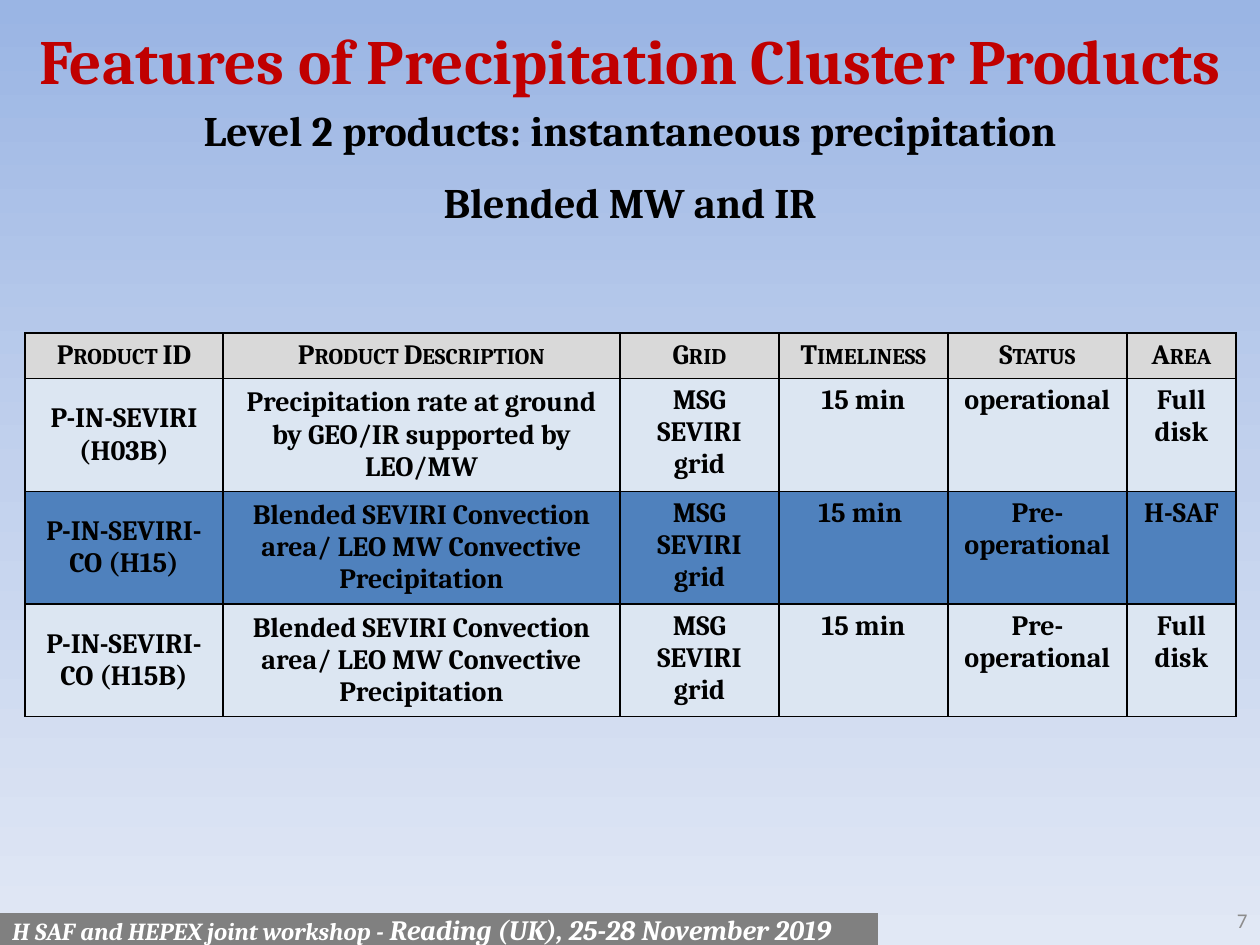
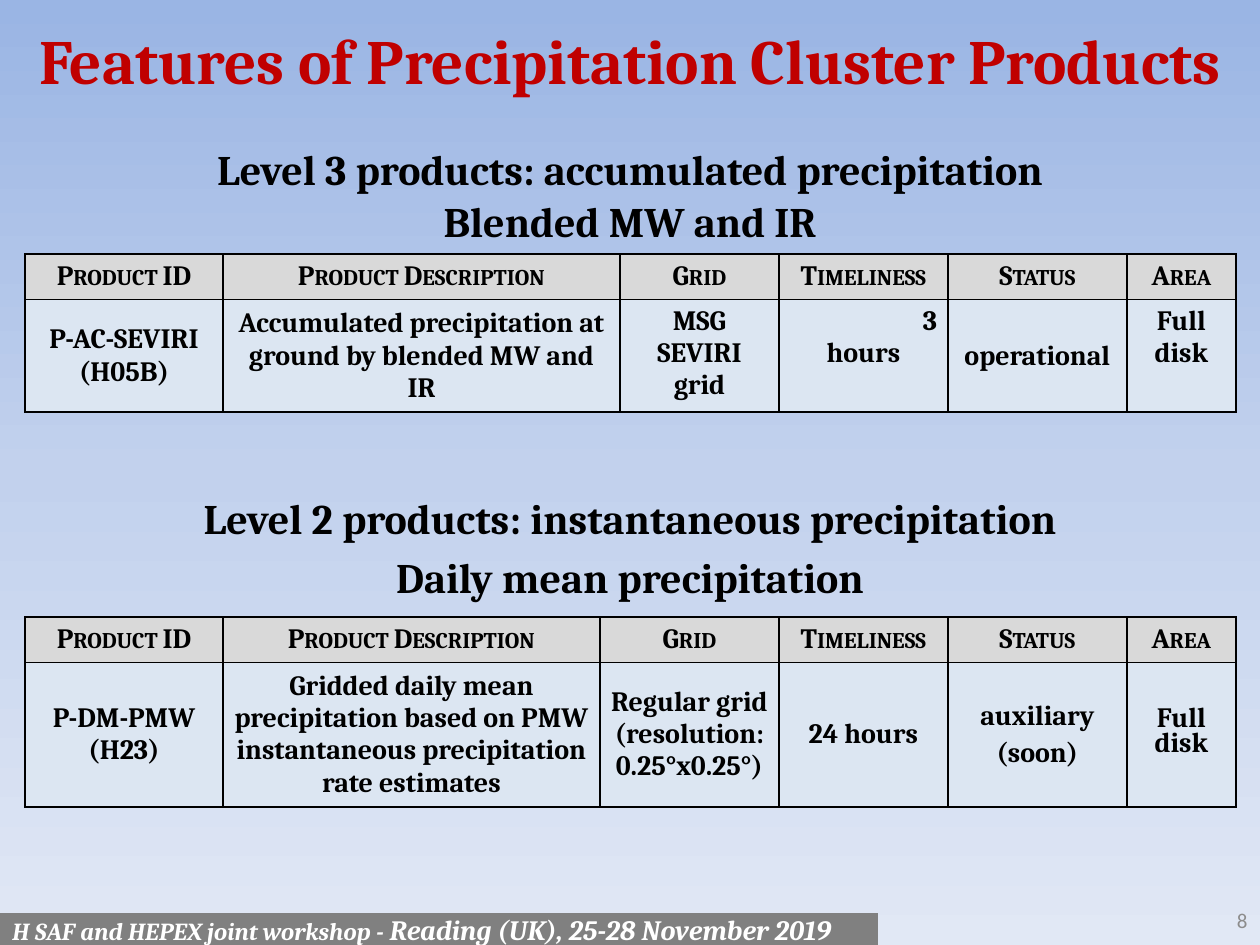
from copy import deepcopy

from lxml.etree import SubElement
from pptx import Presentation
from pptx.dml.color import RGBColor
from pptx.enum.shapes import MSO_SHAPE as Shape
from pptx.enum.text import MSO_ANCHOR as Anchor, PP_ALIGN as Align
from pptx.oxml import parse_xml
from pptx.oxml.ns import nsdecls, qn
from pptx.util import Emu, Pt

PX = 914400 / 126  # EMU in one px

RED = RGBColor(0xC0, 0x00, 0x00)
BLACK = RGBColor(0x00, 0x00, 0x00)
WHITE = RGBColor(0xFF, 0xFF, 0xFF)
BAND_GREY = RGBColor(0x80, 0x80, 0x80)
NUMBER_GREY = RGBColor(0x8C, 0x8C, 0x8C)
HEADER_GREY = RGBColor(0xD9, 0xD9, 0xD9)
PALE_BLUE = RGBColor(0xDC, 0xE6, 0xF2)
STRONG_BLUE = RGBColor(0x4F, 0x81, 0xBD)
BACKGROUND = [
    (0, RGBColor(0x9A, 0xB5, 0xE4)),
    (0.5, RGBColor(0xC2, 0xD1, 0xED)),
    (1, RGBColor(0xE1, 0xE8, 0xF5)),
]

TITLE = "Features of Precipitation Cluster Products"
INSTANTANEOUS = "Level 2 products: instantaneous precipitation"
BLENDED = "Blended MW and IR"
CONVECTION = "Blended SEVIRI Convection area/ LEO MW Convective Precipitation"
MSG_GRID = "MSG SEVIRI grid"
HEADERS = ["Product ID", "Product Description", "Grid", "Timeliness", "Status", "Area"]
HEADER_HEIGHT = 45
COLUMNS = [198, 397, 159, 169, 179, 109]
DAILY_COLUMNS = [198, 377, 179, 169, 179, 109]

# Headings are (text, top, height); a cell is a text or a list of (text, format)
SLIDES = [
    {
        "number": "7",
        "headings": [(INSTANTANEOUS, 86, 87), (BLENDED, 158, 87)],
        "tables": [
            {
                "top": 333, "columns": COLUMNS, "row_height": 108, "middle": [0, 1],
                "rows": [
                    ["P-IN-SEVIRI (H03B)",
                     "Precipitation rate at ground by GEO/IR supported by LEO/MW",
                     MSG_GRID, "15 min", "operational", "Full disk"],
                    ["P-IN-SEVIRI-CO (H15)", CONVECTION,
                     MSG_GRID, "15 min ", "Pre-operational", "H-SAF"],
                    ["P-IN-SEVIRI-CO (H15B)", CONVECTION,
                     MSG_GRID, "15 min", "Pre-operational", "Full disk"],
                ],
            },
        ],
    },
    {
        "number": "8",
        "headings": [
            ("Level 3 products: accumulated precipitation", 145, 48),
            (BLENDED, 197, 48),
            (INSTANTANEOUS, 493, 49),
            ("Daily mean precipitation", 552, 49),
        ],
        "tables": [
            {
                "top": 254, "columns": COLUMNS, "row_height": 108, "middle": [0, 1, 4],
                "rows": [
                    ["P-AC-SEVIRI (H05B)",
                     "Accumulated precipitation at ground by blended MW and IR",
                     MSG_GRID, [("3", {"align": Align.RIGHT}), ("hours", {})],
                     "operational", "Full disk"],
                ],
            },
            {
                "top": 617, "columns": DAILY_COLUMNS, "row_height": 140, "middle": range(6),
                "rows": [
                    ["P-DM-PMW (H23)",
                     "Gridded daily mean precipitation based on PMW instantaneous "
                     "precipitation rate estimates",
                     "Regular grid (resolution: 0.25°x0.25°)", "24 hours",
                     [("auxiliary", {}), ("(soon)", {"space_before": Pt(3)})],
                     [("Full disk", {"line_spacing": Pt(14.4)})]],
                ],
            },
        ],
    },
]


def px(*lengths):
    return [Emu(round(length * PX)) for length in lengths]


def write(paragraph, text, size=16, font="Cambria", color=BLACK, bold=True, italic=False,
          small_caps=False, align=Align.CENTER, space_before=None, line_spacing=None):
    paragraph.alignment = align
    if space_before is not None:
        paragraph.space_before = space_before
    if line_spacing is not None:
        paragraph.line_spacing = line_spacing
    run = paragraph.add_run()
    run.text = text
    run.font.name = font
    run.font.size = Pt(size)
    run.font.bold = bold
    run.font.italic = italic
    run.font.color.rgb = color
    if small_caps:
        run.font._element.set("cap", "small")


presentation = Presentation()
presentation.slide_width, presentation.slide_height = px(1260, 945)
blank_layout = presentation.slide_layouts[6]

for content in SLIDES:
    slide = presentation.slides.add_slide(blank_layout)

    # Background gradient, top to bottom
    fill = slide.background.fill
    fill.gradient()
    fill.gradient_angle = 270
    stop_list = slide._element.find(".//" + qn("a:gsLst"))
    stop_list.insert(1, deepcopy(stop_list[0]))
    for stop, (position, color) in zip(fill.gradient_stops, BACKGROUND):
        stop.position = position
        stop.color.rgb = color

    # Title, headings and slide number
    texts = [(TITLE, (0, 16, 1260, 87), {"size": 36, "color": RED})]
    for heading, top, height in content["headings"]:
        texts.append((heading, (0, top, 1260, height), {"size": 24}))
    texts.append((content["number"], (967, 895, 293, 50),
                  {"size": 12, "font": "Calibri", "color": NUMBER_GREY,
                   "bold": False, "align": Align.RIGHT}))
    for text, box, text_format in texts:
        frame = slide.shapes.add_textbox(*px(*box)).text_frame
        frame.word_wrap = True
        frame.vertical_anchor = Anchor.MIDDLE
        write(frame.paragraphs[0], text, **text_format)

    # Product tables
    for product in content["tables"]:
        rows = [HEADERS] + product["rows"]
        heights = [HEADER_HEIGHT] + [product["row_height"]] * len(product["rows"])
        widths = product["columns"]
        table = slide.shapes.add_table(
            len(rows), len(widths),
            *px(25, product["top"], sum(widths), sum(heights))).table
        table.first_row = False
        table.horz_banding = False
        for column, width in zip(table.columns, px(*widths)):
            column.width = width
        for row, height in zip(table.rows, px(*heights)):
            row.height = height

        for row_index, row in enumerate(rows):
            is_header = row_index == 0
            row_color = HEADER_GREY if is_header else (
                STRONG_BLUE if row_index == 2 else PALE_BLUE)
            for column_index, entry in enumerate(row):
                cell = table.cell(row_index, column_index)
                cell.fill.solid()
                cell.fill.fore_color.rgb = row_color
                tight = not is_header and column_index < 2
                side, edge = px(9, 5) if tight else px(11, 6)
                cell.margin_left = cell.margin_right = side
                cell.margin_top = cell.margin_bottom = edge
                centred = not is_header and column_index in product["middle"]
                cell.vertical_anchor = Anchor.MIDDLE if centred else Anchor.TOP

                lines = [(entry, {})] if isinstance(entry, str) else entry
                for line_index, (text, text_format) in enumerate(lines):
                    frame = cell.text_frame
                    paragraph = frame.add_paragraph() if line_index else frame.paragraphs[0]
                    write(paragraph, text, small_caps=is_header, **text_format)

                # Black 1 pt borders
                properties = cell._tc.get_or_add_tcPr()
                for position, tag in enumerate(["lnL", "lnR", "lnT", "lnB"]):
                    border = parse_xml(f'<a:{tag} {nsdecls("a")} w="12700"/>')
                    solid = SubElement(border, qn("a:solidFill"))
                    SubElement(solid, qn("a:srgbClr"), val=str(BLACK))
                    properties.insert(position, border)

    # Footer band
    band = slide.shapes.add_shape(Shape.RECTANGLE, *px(0, 913, 878, 32))
    band.shadow.inherit = False
    band.fill.solid()
    band.fill.fore_color.rgb = BAND_GREY
    band.line.fill.background()
    band.text_frame.word_wrap = True
    band.text_frame.vertical_anchor = Anchor.MIDDLE
    for text, size in [("H SAF and HEPEX joint workshop - ", 14),
                       ("Reading (UK), 25-28 November 2019", 16)]:
        write(band.text_frame.paragraphs[0], text, size=size, color=WHITE,
              italic=True, align=Align.LEFT)

presentation.save("out.pptx")
